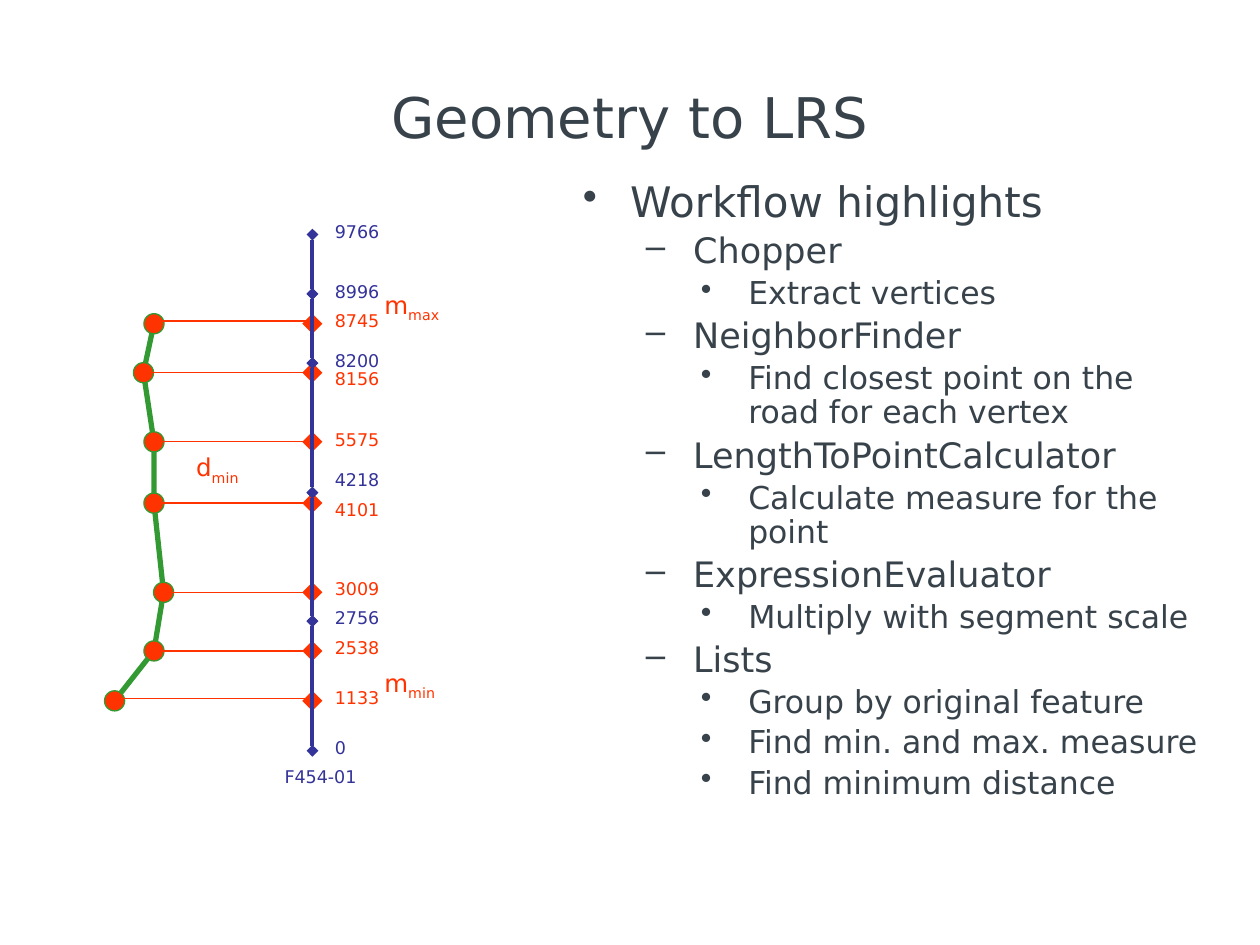
import pptx
import pptx.util
import pptx.dml.color
import pptx.enum.shapes
import pptx.enum.text
import pptx.oxml.ns
import lxml.etree

Pt = pptx.util.Pt
SHAPE = pptx.enum.shapes.MSO_SHAPE
ALIGN = pptx.enum.text.PP_ALIGN
ANCHOR = pptx.enum.text.MSO_ANCHOR
FIT = pptx.enum.text.MSO_AUTO_SIZE

FONT = "DejaVu Sans"
DARK, RED, BLUE, GREEN = "37424A", "FF3300", "333399", "339933"

# Vertices of the road, bottom up: x, y, measure, label offset
ROAD = [
    (5.5, 266.5, "1133", -11.5), (28, 238, "2538", -11.5),
    (33.5, 204.5, "3009", -11.5), (28, 153.5, "4101", -6),
    (28, 118.5, "5575", -11), (22, 79, "8156", -6), (28, 51, "8745", -11.5),
]
# Breaks on the axis, top down: y, measure, label offset
BREAKS = [
    (0, "9766", -11.5), (34, "8996", -11), (73.5, "8200", -11),
    (147.5, "4218", -17), (221, "2756", -11.5), (295, "0", -11.5),
]
# Outline: level, text
STEPS = [
    (0, "Workflow highlights"),
    (1, "Chopper"), (2, "Extract vertices"),
    (1, "NeighborFinder"),
    (2, "Find closest point on the road for each vertex"),
    (1, "LengthToPointCalculator"), (2, "Calculate measure for the point"),
    (1, "ExpressionEvaluator"), (2, "Multiply with segment scale"),
    (1, "Lists"), (2, "Group by original feature"),
    (2, "Find min. and max. measure"), (2, "Find minimum distance"),
]
# Format of each level: size, indent, bullet
LEVELS = [(24, 27, "•"), (20, 63, "–"), (18, 94.5, "•")]


def color(code):
    return pptx.dml.color.RGBColor.from_string(code)


def child(node, tag, **attrs):
    return lxml.etree.SubElement(node, pptx.oxml.ns.qn(tag), attrs)


def write(para, text, size, code):
    """Add the text; what follows an underscore is set as subscript."""
    for part, words in enumerate(text.split("_")):
        run = para.add_run()
        run.text = words
        run.font.name = FONT
        run.font.size = Pt(size)
        run.font.color.rgb = color(code)
        if part:
            run.font._element.set("baseline", "-25000")


def label(slide, text, x, y, w, h, size=10, code=BLUE, align=ALIGN.LEFT,
          anchor=ANCHOR.TOP, wrap=False):
    frame = slide.shapes.add_textbox(Pt(x), Pt(y), Pt(w), Pt(h)).text_frame
    frame.word_wrap = wrap
    frame.auto_size = FIT.NONE if wrap else FIT.SHAPE_TO_FIT_TEXT
    frame.vertical_anchor = anchor
    para = frame.paragraphs[0]
    para.alignment = align
    write(para, text, size, code)


def mark(slide, kind, x, y, edge=None):
    """Draw a small red shape centred on x, y."""
    size = 11.5
    shape = slide.shapes.add_shape(
        kind, Pt(x - size / 2), Pt(y - size / 2), Pt(size), Pt(size))
    shape.shadow.inherit = False
    shape.fill.solid()
    shape.fill.fore_color.rgb = color(RED)
    if edge:
        shape.line.color.rgb = color(edge)
        shape.line.width = Pt(0.75)
    else:
        shape.line.fill.background()


def line(slide, x1, y1, x2, y2, code, width, ends=None):
    link = slide.shapes.add_connector(
        pptx.enum.shapes.MSO_CONNECTOR.STRAIGHT,
        Pt(x1), Pt(y1), Pt(x2), Pt(y2))
    link.line.color.rgb = color(code)
    link.line.width = Pt(width)
    if ends:
        stroke = link.line._get_or_add_ln()
        child(stroke, "a:headEnd", type=ends)
        child(stroke, "a:tailEnd", type=ends)
    child(link._element.spPr, "a:effectLst")


def title(slide, x, y, w, h):
    label(slide, "Geometry to LRS", x, y, w, h, size=32, code=DARK,
          align=ALIGN.CENTER, anchor=ANCHOR.MIDDLE, wrap=True)


def graph(slide, x, y, w):
    axis = x + w
    dots = [(x + dx, y + dy) for dx, dy, *rest in ROAD]

    # Road and its vertices
    pen = slide.shapes.build_freeform(Pt(dots[0][0]), Pt(dots[0][1]))
    pen.add_line_segments([(Pt(a), Pt(b)) for a, b in dots[1:]], close=False)
    road = pen.convert_to_shape()
    road.shadow.inherit = False
    road.fill.background()
    road.line.color.rgb = color(GREEN)
    road.line.width = Pt(3)
    for a, b in dots:
        mark(slide, SHAPE.OVAL, a, b, edge=GREEN)

    # Distance and measure symbols
    for text, dx, dy, wide in [("d_min", 45, 121, 40), ("m_min", 152.5, 244, 45),
                               ("m_max", 152.5, 28, 57)]:
        label(slide, text, x + dx, y + dy, wide, 24, size=14, code=RED)

    # Ties from the road to the axis; the outermost sit slightly higher
    for a, b in dots:
        lift = 1.5 if (a, b) in (dots[0], dots[-1]) else 0
        line(slide, a, b - lift, axis, b - lift, RED, 0.75)
    for a, b in dots:
        mark(slide, SHAPE.DIAMOND, axis, b)

    # Axis with its breaks
    for top, low in zip(BREAKS, BREAKS[1:]):
        line(slide, axis, y + low[0], axis, y + top[0], BLUE, 2.25, "diamond")
    label(slide, "F454-01", axis - 23, y + 300, 57, 19.5)

    # Measures beside the axis
    reds = [(dy, text, off, RED) for dx, dy, text, off in ROAD]
    blues = [(*row, BLUE) for row in BREAKS]
    for dy, text, off, code in blues + reds:
        wide = 40 if len(text) > 1 else 21
        label(slide, text, axis + 5.75, y + dy + off, wide, 19.5, code=code)


def outline(slide, x, y, w, h):
    frame = slide.shapes.add_textbox(Pt(x), Pt(y), Pt(w), Pt(h)).text_frame
    frame.word_wrap = True
    for row, (level, text) in enumerate(STEPS):
        para = frame.add_paragraph() if row else frame.paragraphs[0]
        size, indent, bullet = LEVELS[level]
        para.level = level
        para.line_spacing = 0.9
        props = para._p.get_or_add_pPr()
        props.set("marL", str(Pt(indent)))
        props.set("indent", str(-Pt(27)))
        child(child(props, "a:spcBef"), "a:spcPct", val="20000")
        child(props, "a:buChar", char=bullet)
        write(para, text, size, DARK)


def main():
    deck = pptx.Presentation()
    deck.slide_width, deck.slide_height = Pt(720), Pt(540)
    slide = deck.slides.add_slide(deck.slide_layouts[6])
    title(slide, 36, 21.5, 648, 90)
    graph(slide, 60, 134, 118.5)
    outline(slide, 326, 100, 374, 365)
    deck.save("out.pptx")


if __name__ == "__main__":
    main()
